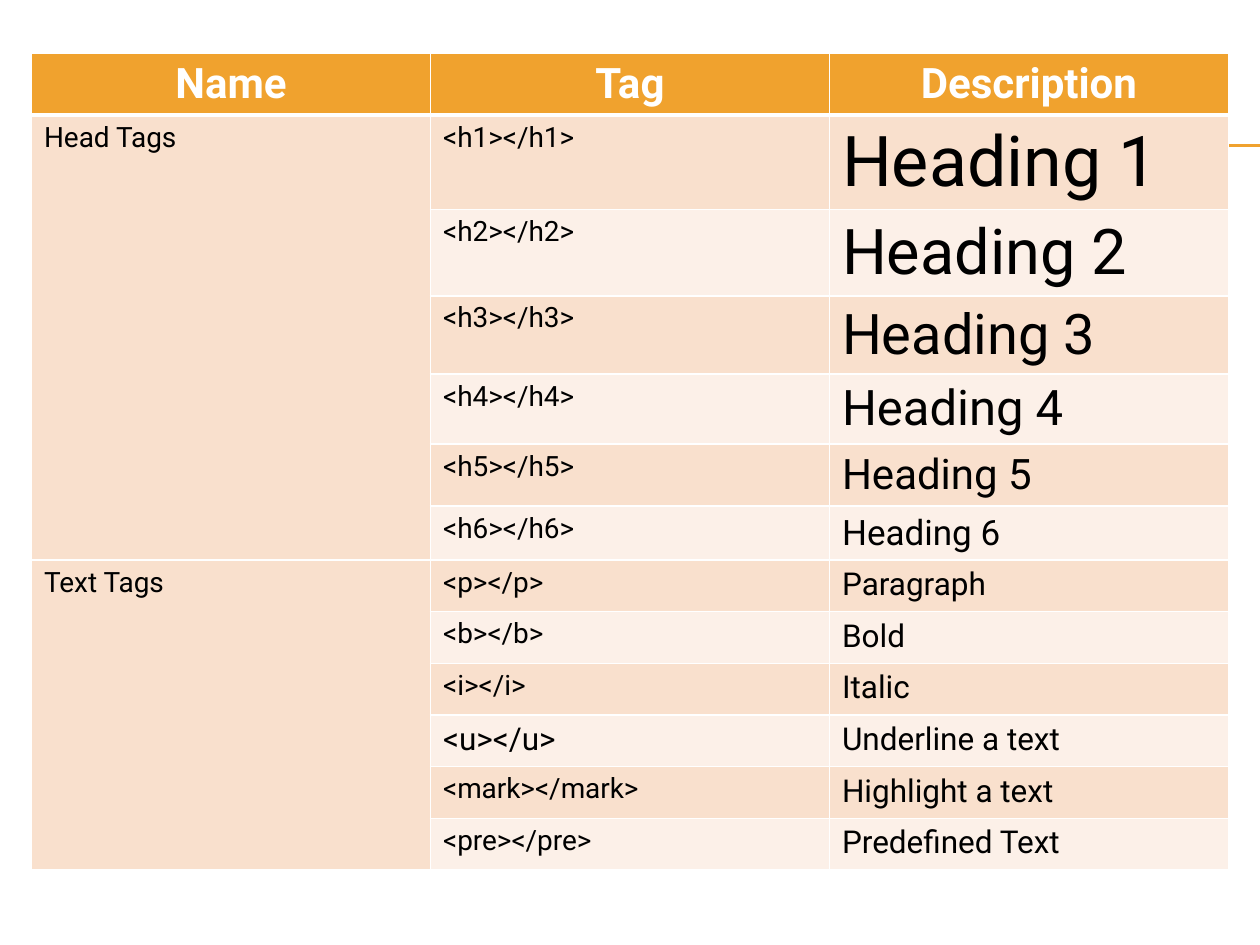
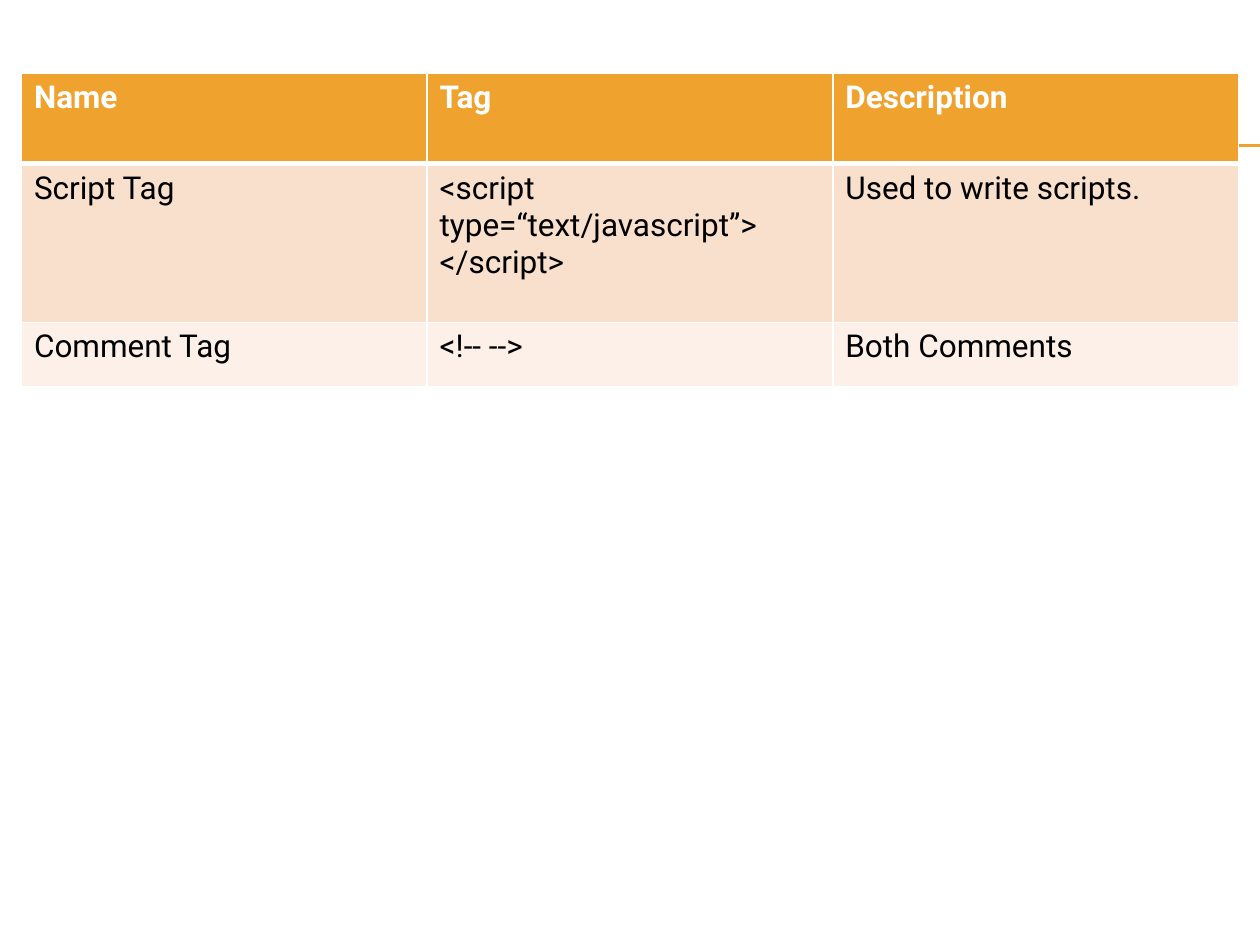
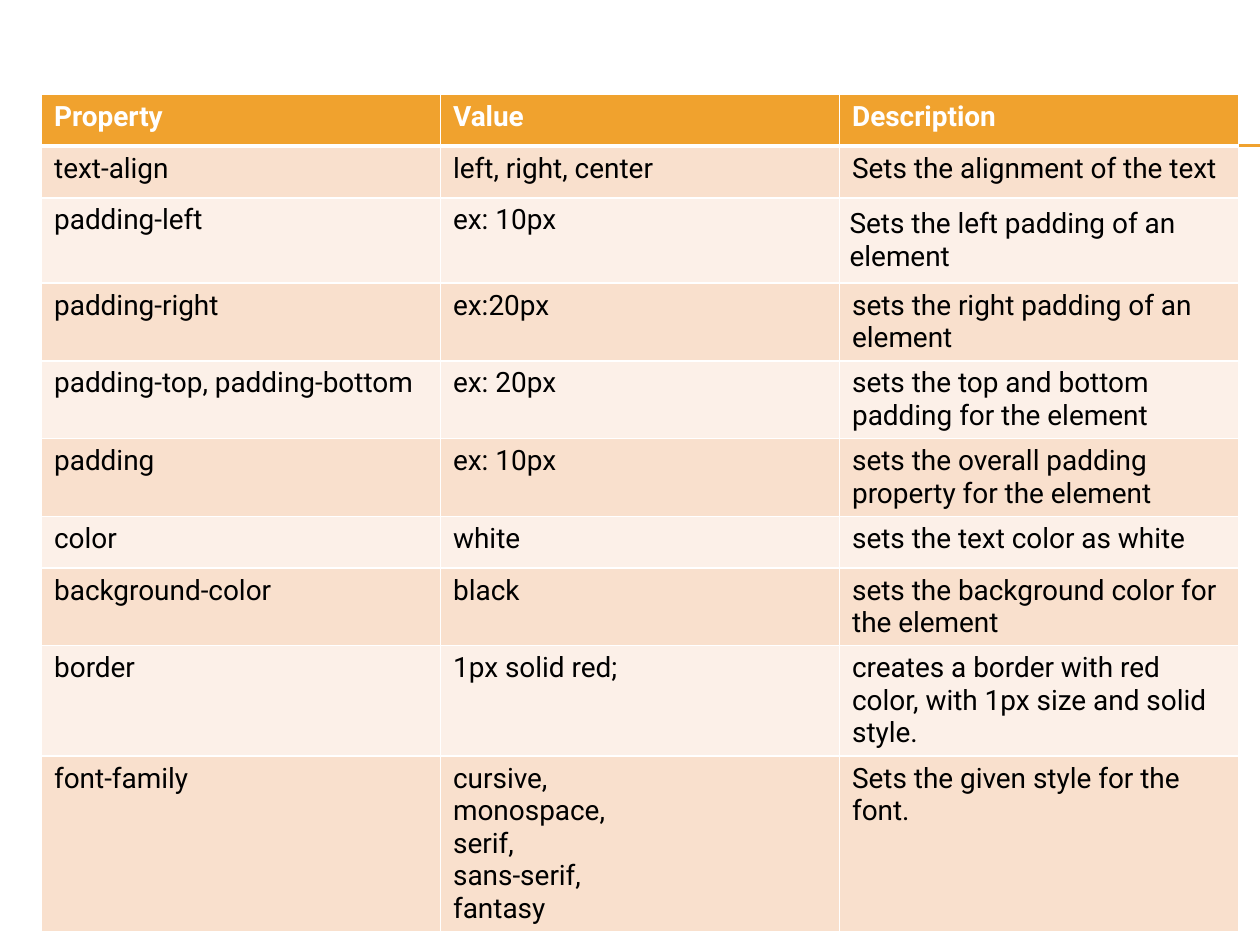
from dataclasses import dataclass
from typing import NamedTuple

from lxml import etree
from pptx import Presentation
from pptx import util as u
from pptx.dml.color import RGBColor
from pptx.enum import shapes, text
from pptx.oxml.ns import qn

FONT = "Roboto"
GOLD, WHITE, BLACK = "F0A22E", "FFFFFF", "000000"
BANDS = ("FCF0E8", "F9E0CD")
RULES = (1.15, 1.16)
ROW = 0.41


class Item(NamedTuple):
    """Cell text with an optional own size and padding."""
    words: str
    size: int | None = None
    pad: float | None = None


@dataclass
class Grid:
    """One slide's table; a span is (first row, last row) in column one."""
    left: float
    top: float
    width: float
    highs: list[float]
    rows: list[list[Item | str]]
    size: int
    head: int
    align: text.PP_ALIGN = text.PP_ALIGN.LEFT
    spans: tuple[tuple[int, int], ...] = ()


def rgb(code: str) -> RGBColor:
    """Return the colour for a hex string."""
    return RGBColor.from_string(code)


def edge(cell, side: str, width: float) -> None:
    """Draw one white cell border."""
    line = etree.SubElement(cell._tc.get_or_add_tcPr(), qn(f"a:ln{side}"),
                            w=str(u.Pt(width)))
    fill = etree.SubElement(line, qn("a:solidFill"))
    etree.SubElement(fill, qn("a:srgbClr"), val=WHITE)


def write(cell, item: Item, size: int, head: bool, align) -> None:
    """Write each line of an item as a paragraph."""
    frame = cell.text_frame
    for i, words in enumerate(item.words.split("\n")):
        para = frame.add_paragraph() if i else frame.paragraphs[0]
        para.alignment = align
        run = para.add_run()
        run.text = words
        font = run.font
        font.name, font.size, font.bold = FONT, u.Pt(item.size or size), head
        font.color.rgb = rgb(WHITE if head else BLACK)
    if item.pad is not None:
        pad = u.Inches(item.pad)
        cell.margin_left = cell.margin_right = pad
        cell.margin_top = cell.margin_bottom = pad


def rule(slide, y: float) -> None:
    """Draw one gold rule out to the right edge."""
    line = slide.shapes.add_connector(
        shapes.MSO_CONNECTOR.STRAIGHT,
        u.Inches(0.56), u.Inches(y), u.Inches(10), u.Inches(y))
    line.line.color.rgb = rgb(GOLD)
    line.line.width = u.Pt(0.75)
    etree.SubElement(line._element.spPr, qn("a:effectLst"))


def draw(slide, grid: Grid) -> None:
    """Draw the table of a slide."""
    cols = len(grid.rows[0])
    table = slide.shapes.add_table(
        len(grid.rows), cols, u.Inches(grid.left), u.Inches(grid.top),
        u.Inches(grid.width), u.Inches(sum(grid.highs))).table
    for col in table.columns:
        col.width = u.Inches(grid.width / cols)
    for r, (row, high) in enumerate(zip(grid.rows, grid.highs)):
        table.rows[r].height = u.Inches(high)
        head = r == 0
        for c, item in enumerate(row):
            cell = table.cell(r, c)
            for side in "LRTB":
                thick = (r, side) in ((0, "B"), (1, "T"))
                edge(cell, side, 3 if thick else 1)
            cell.fill.solid()
            cell.fill.fore_color.rgb = rgb(GOLD if head else BANDS[r % 2])
            if isinstance(item, str):
                item = Item(item)
            if item.words:
                write(cell, item, grid.head if head else grid.size, head,
                      grid.align if head else text.PP_ALIGN.LEFT)
    for first, last in grid.spans:
        table.cell(first, 0).merge(table.cell(last, 0))


HEADS = [["" if n > 1 else "Head Tags", f"<h{n}></h{n}>",
          Item(f"Heading {n}", 44 - 4 * n)] for n in range(1, 7)]
TEXTS = [
    ["Text Tags", "<p></p>", Item("Paragraph", 18)],
    ["", "<b></b>", Item("Bold", 18)],
    ["", "<i></i>", Item("Italic", 18)],
    ["", Item("<u></u>", 18), Item("Underline a text", 18)],
    ["", "<mark></mark>", Item("Highlight a text", 18)],
    ["", "<pre></pre>", Item("Predefined Text", 18)],
]
TITLES = ["Name", "Tag", "Description"]
SCRIPTS = [
    TITLES,
    ["Script Tag", "<script type=“text/javascript”>\n</script>",
     "Used to write scripts."],
    ["Comment Tag", "<!-- -->", "Both Comments"],
]
STYLES = [
    ["Property", "Value", "Description"],
    ["text-align", "left, right, center", "Sets the alignment of the text"],
    ["padding-left", "ex: 10px",
     Item("Sets the left padding of an element", pad=0.08)],
    ["padding-right", "ex:20px", "sets the right padding of an element"],
    ["padding-top, padding-bottom", "ex: 20px",
     "sets the top and bottom padding for the element"],
    ["padding", "ex: 10px",
     "sets the overall padding property for the element"],
    ["color", "white", "sets the text color as white"],
    ["background-color", "black",
     "sets the background color for the element"],
    ["border", "1px solid red;",
     "creates a border with red color, with 1px size and solid style."],
    ["font-family", "cursive,\nmonospace,\nserif,\nsans-serif,\nfantasy",
     "Sets the given style for the font."],
]
GRIDS = [
    Grid(0.25, 0.42, 9.5, [ROW] * 13, [TITLES, *HEADS, *TEXTS], 16, 24,
         text.PP_ALIGN.CENTER, ((1, 6), (7, 12))),
    Grid(0.17, 0.58, 9.66, [0.72, 1.26, 0.51], SCRIPTS, 18, 18),
    Grid(0.33, 0.75, 9.5, [ROW] * 10, STYLES, 16, 16),
]


def main() -> None:
    """Build the deck."""
    deck = Presentation()
    deck.slide_width, deck.slide_height = u.Inches(10), u.Inches(7.5)
    for grid in GRIDS:
        slide = deck.slides.add_slide(deck.slide_layouts[6])
        for y in RULES:
            rule(slide, y)
        draw(slide, grid)
    deck.save("out.pptx")


if __name__ == "__main__":
    main()
